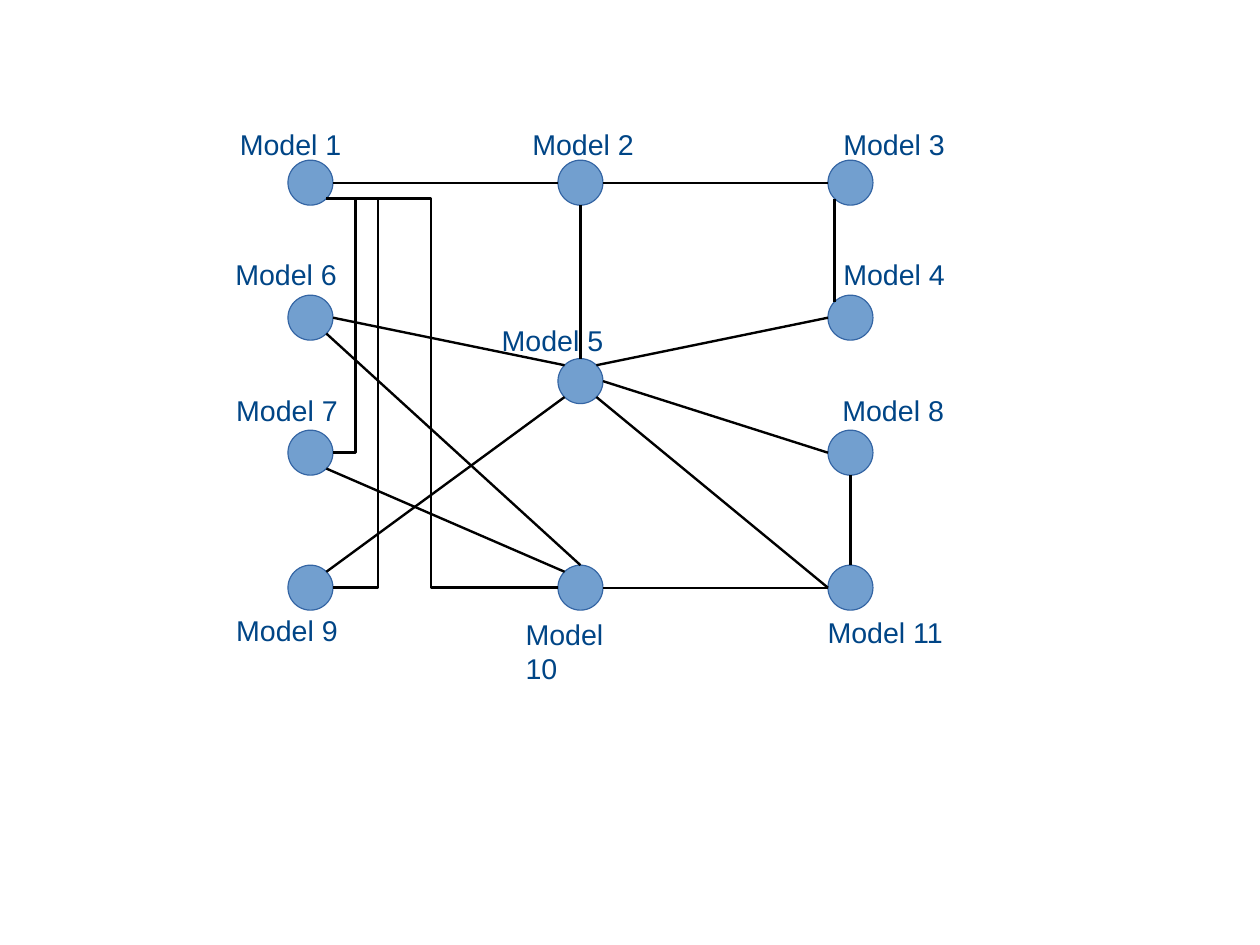
from math import cos, radians, sin

from lxml.etree import SubElement
from pptx import Presentation
from pptx.dml.color import RGBColor
from pptx.enum.shapes import MSO_CONNECTOR as Connector, MSO_SHAPE as Preset
from pptx.enum.text import MSO_AUTO_SIZE as AutoSize
from pptx.oxml.ns import qn
from pptx.util import Cm, Pt

NODE_FILL = RGBColor(0x72, 0x9F, 0xCF)
NODE_LINE = RGBColor(0x34, 0x65, 0xA4)
LABEL_COLOR = RGBColor(0x00, 0x45, 0x86)
LINK_COLOR = RGBColor(0x00, 0x00, 0x00)
NODE_SIZE = 1.0

# Points on a node's rim, as clockwise angles from its right side
RIGHT, LOWER_RIGHT, BOTTOM, LOWER_LEFT = 0, 45, 90, 135
LEFT, UPPER_LEFT, TOP, UPPER_RIGHT = 180, 225, 270, 315

# Model number: (column, row, label offset from the node in cm)
MODELS = {
    1: (0, 0, -1.32, -0.87),
    2: (1, 0, -0.82, -0.87),
    3: (2, 0, 0.09, -0.87),
    4: (2, 1, 0.09, -0.97),
    5: (1, 1.47, -1.5, -0.92),
    6: (0, 1, -1.42, -0.97),
    7: (0, 2, -1.4, -0.95),
    8: (2, 2, 0.07, -0.95),
    9: (0, 3, -1.4, 0.93),
    10: (1, 3, -0.97, 1.03),
    11: (2, 3, -0.26, 0.98),
}

# (model, rim point, model, rim point, line width in points)
STRAIGHT_LINKS = [
    (1, RIGHT, 2, LEFT, 1.5),
    (2, RIGHT, 3, LEFT, 1.5),
    (2, BOTTOM, 5, TOP, 1.5),
    (3, LOWER_LEFT, 4, UPPER_LEFT, 1.5),
    (5, UPPER_RIGHT, 4, LEFT, 1.5),
    (5, UPPER_LEFT, 6, RIGHT, 1.5),
    (5, RIGHT, 8, LEFT, 1.5),
    (5, LOWER_RIGHT, 11, LEFT, 1.5),
    (9, UPPER_RIGHT, 5, LOWER_LEFT, 1.5),
    (10, TOP, 6, LOWER_RIGHT, 1.5),
    (10, UPPER_LEFT, 7, LOWER_RIGHT, 1.5),
    (10, RIGHT, 11, LEFT, 1.5),
    (11, TOP, 8, BOTTOM, 0),
]

# Links from Model 1: (model, rim point, distance of the bend from the box's left in cm)
BENT_LINKS = [(7, RIGHT, 1.5), (9, RIGHT, 2.0), (10, LEFT, 3.18)]


def rim_point(corner, angle):
    """Return the point on the rim of the node whose top left corner is given."""
    radius = NODE_SIZE / 2
    return (corner[0] + radius + radius * cos(radians(angle)),
            corner[1] + radius + radius * sin(radians(angle)))


def add_link(slide, start, end, width, bend=None):
    """Join two points by a straight line, or by one that bends at x = bend."""
    kind = Connector.STRAIGHT if bend is None else Connector.ELBOW
    link = slide.shapes.add_connector(kind, *(Cm(value) for value in start + end))
    link.line.color.rgb = LINK_COLOR
    link.line.width = Pt(width)
    properties = link._element.spPr
    SubElement(properties, qn("a:effectLst"))
    if bend is not None:
        ratio = (bend - start[0]) / (end[0] - start[0])
        guides = properties.find(qn("a:prstGeom")).get_or_add_avLst()
        SubElement(guides, qn("a:gd"), name="adj1", fmla=f"val {round(ratio * 100000)}")


def add_node(slide, left, top):
    """Draw one round node."""
    node = slide.shapes.add_shape(Preset.OVAL, Cm(left), Cm(top), Cm(NODE_SIZE), Cm(NODE_SIZE))
    node.shadow.inherit = False
    node.fill.solid()
    node.fill.fore_color.rgb = NODE_FILL
    node.line.color.rgb = NODE_LINE
    node.line.width = Pt(0)


def add_label(slide, left, top, text):
    """Write a node's name."""
    width = 2.77 if len(text) < 8 else 3.11
    label = slide.shapes.add_textbox(Cm(left), Cm(top), Cm(width), Cm(0.97))
    text_frame = label.text_frame
    text_frame.word_wrap = False
    text_frame.auto_size = AutoSize.SHAPE_TO_FIT_TEXT
    text_frame.text = text
    font = text_frame.paragraphs[0].runs[0].font
    font.name = "Arial"
    font.size = Pt(18)
    font.color.rgb = LABEL_COLOR


def add_network(slide, left, top, width, height):
    """Draw the models and their links on a grid of 3 columns and 4 rows in the box."""
    column_step = (width - NODE_SIZE) / 2
    row_step = (height - NODE_SIZE) / 3
    corners = {number: (left + column * column_step, top + row * row_step)
               for number, (column, row, _, _) in MODELS.items()}
    for corner in corners.values():
        add_node(slide, *corner)
    for first, first_angle, second, second_angle, line_width in STRAIGHT_LINKS:
        add_link(slide, rim_point(corners[first], first_angle),
                 rim_point(corners[second], second_angle), line_width)
    for number, angle, bend in BENT_LINKS:
        add_link(slide, rim_point(corners[1], LOWER_RIGHT),
                 rim_point(corners[number], angle), 1.5, left + bend)
    for number, (_, _, shift_x, shift_y) in MODELS.items():
        node_left, node_top = corners[number]
        add_label(slide, node_left + shift_x, node_top + shift_y, f"Model {number}")


presentation = Presentation()
presentation.slide_width = Cm(28)
presentation.slide_height = Cm(21)
network_slide = presentation.slides.add_slide(presentation.slide_layouts[6])
add_network(network_slide, left=6.4, top=3.56, width=13, height=10)
presentation.save("out.pptx")
